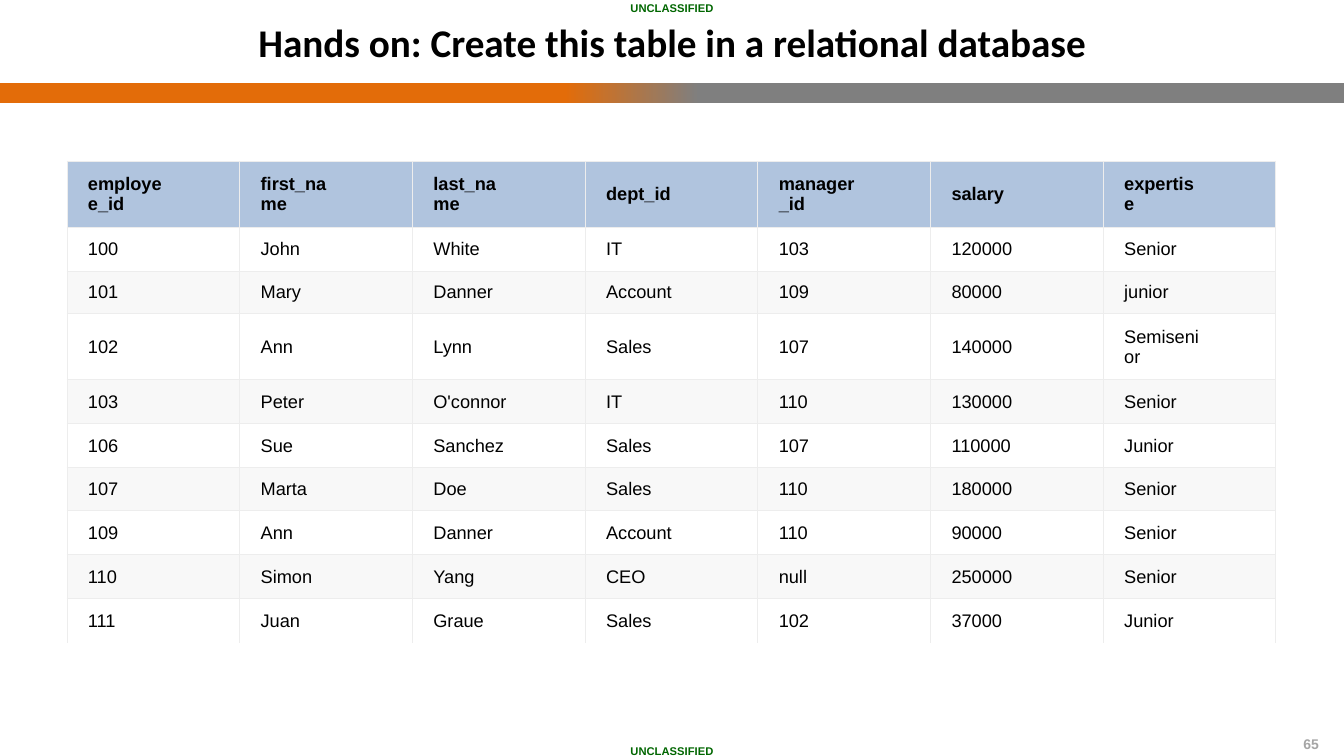
from lxml.etree import SubElement as Sub
from pptx import Presentation as Deck
from pptx.dml.color import RGBColor as Color
from pptx.enum.shapes import MSO_SHAPE as Shape
from pptx.enum.text import MSO_ANCHOR as Anchor, PP_ALIGN as Align
from pptx.oxml.ns import qn
from pptx.util import Emu, Pt

SCALE = 914400 / 100.8
WIDE, HIGH = 1344, 756
HEX = {
    "paper": "FFFFFF", "ink": "000000", "green": "006600", "pale": "A5A5A5",
    "gray": "7F7F7F", "orange": "E36C09", "head": "B0C4DE", "band": "F8F8F8",
    "rule": "EDEDED",
}
FADE = [(0, "gray"), (48, "gray"), (58, "orange"), (100, "orange")]
MARK = {"size": 8, "name": "Arial", "bold": True, "color": "green"}
TITLE = {"size": 28, "name": "Calibri", "bold": True, "color": "ink"}
PAGE = {"size": 10, "name": "Arial", "bold": True, "color": "pale"}
HEAD = {"size": 13, "name": "Arial", "bold": True, "color": "ink"}
BODY = {**HEAD, "bold": False}
SIDES = ("left", "top", "right", "bottom")
STAFF = [
    ["employee_id", "first_name", "last_name", "dept_id", "manager_id", "salary", "expertise"],
    ["100", "John", "White", "IT", "103", "120000", "Senior"],
    ["101", "Mary", "Danner", "Account", "109", "80000", "junior"],
    ["102", "Ann", "Lynn", "Sales", "107", "140000", "Semisenior"],
    ["103", "Peter", "O'connor", "IT", "110", "130000", "Senior"],
    ["106", "Sue", "Sanchez", "Sales", "107", "110000", "Junior"],
    ["107", "Marta", "Doe", "Sales", "110", "180000", "Senior"],
    ["109", "Ann", "Danner", "Account", "110", "90000", "Senior"],
    ["110", "Simon", "Yang", "CEO", "null", "250000", "Senior"],
    ["111", "Juan", "Graue", "Sales", "102", "37000", "Junior"],
]
ROWS = [66, 44, 43, 66, 44, 44, 43, 44, 44, 44]


def px(num):
    return Emu(round(num * SCALE))


def tint(key):
    return Color.from_string(HEX[key])


def write(frame, text, form, align=Align.LEFT):
    para = frame.paragraphs[0]
    para.alignment = align
    run = para.add_run()
    run.text = text
    for key, value in form.items():
        if key == "color":
            run.font.color.rgb = tint(value)
        else:
            setattr(run.font, key, Pt(value) if key == "size" else value)


def inset(item, gaps):
    for side, gap in zip(SIDES, gaps):
        setattr(item, "margin_" + side, px(gap))


def add_bar(slide, top, high):
    bar = slide.shapes.add_shape(Shape.RECTANGLE, 0, px(top), px(WIDE), px(high))
    bar.shadow.inherit = False
    bar.line.fill.background()
    return bar


def add_mark(slide, top):
    bar = add_bar(slide, top, 13)
    bar.fill.solid()
    bar.fill.fore_color.rgb = tint("paper")
    frame = bar.text_frame
    frame.vertical_anchor = Anchor.TOP
    inset(frame, (0, 0, 0, 0))
    write(frame, "UNCLASSIFIED", MARK, Align.CENTER)


def add_fade(slide, top, high):
    bar = add_bar(slide, top, high)
    bar.fill.gradient()
    bar.fill.gradient_angle = 180
    stops = next(bar.fill._xPr.iter(qn("a:gsLst")))
    for stop in list(stops):
        stops.remove(stop)
    for spot, key in FADE:
        stop = Sub(stops, qn("a:gs"), pos=str(spot * 1000))
        Sub(stop, qn("a:srgbClr"), val=HEX[key])


def add_text(slide, area, text, form, align, anchor):
    frame = slide.shapes.add_textbox(*map(px, area)).text_frame
    frame.word_wrap = True
    frame.vertical_anchor = anchor
    inset(frame, (10, 5, 10, 5))
    write(frame, text, form, align)


def edge(cell, last):
    props = cell._tc.get_or_add_tcPr()
    for side in "LRTB":
        line = Sub(props, qn("a:ln" + side), w=str(Pt(0.75)))
        if last and side == "B":
            Sub(line, qn("a:noFill"))
        else:
            fill = Sub(line, qn("a:solidFill"))
            Sub(fill, qn("a:srgbClr"), val=HEX["rule"])


def paint(cell, row):
    if row and row % 2:
        cell.fill.background()
    else:
        cell.fill.solid()
        cell.fill.fore_color.rgb = tint("band" if row else "head")


def add_grid(slide, left, top, wide):
    count = len(STAFF[0])
    area = map(px, (left, top, wide, sum(ROWS)))
    grid = slide.shapes.add_table(len(STAFF), count, *area).table
    grid.first_row = grid.horz_banding = False
    for col in grid.columns:
        col.width = px(wide / count)
    for row, (high, line) in enumerate(zip(ROWS, STAFF)):
        grid.rows[row].height = px(high)
        for col, text in enumerate(line):
            cell = grid.cell(row, col)
            cell.vertical_anchor = Anchor.MIDDLE
            inset(cell, (21, 10, 74, 10))
            edge(cell, row == len(STAFF) - 1)
            paint(cell, row)
            write(cell.text_frame, text, BODY if row else HEAD)


def main():
    deck = Deck()
    deck.slide_width, deck.slide_height = px(WIDE), px(HIGH)
    slide = deck.slides.add_slide(deck.slide_layouts[6])
    add_mark(slide, 744)
    add_fade(slide, 83, 20)
    add_mark(slide, 1)
    add_text(slide, (1277, 730, 52, 26), "65", PAGE, Align.RIGHT, Anchor.TOP)
    add_text(slide, (0, 0, WIDE, 83),
             "Hands on: Create this table in a relational database",
             TITLE, Align.CENTER, Anchor.MIDDLE)
    add_grid(slide, 67, 161, 1209)
    deck.save("out.pptx")


if __name__ == "__main__":
    main()
